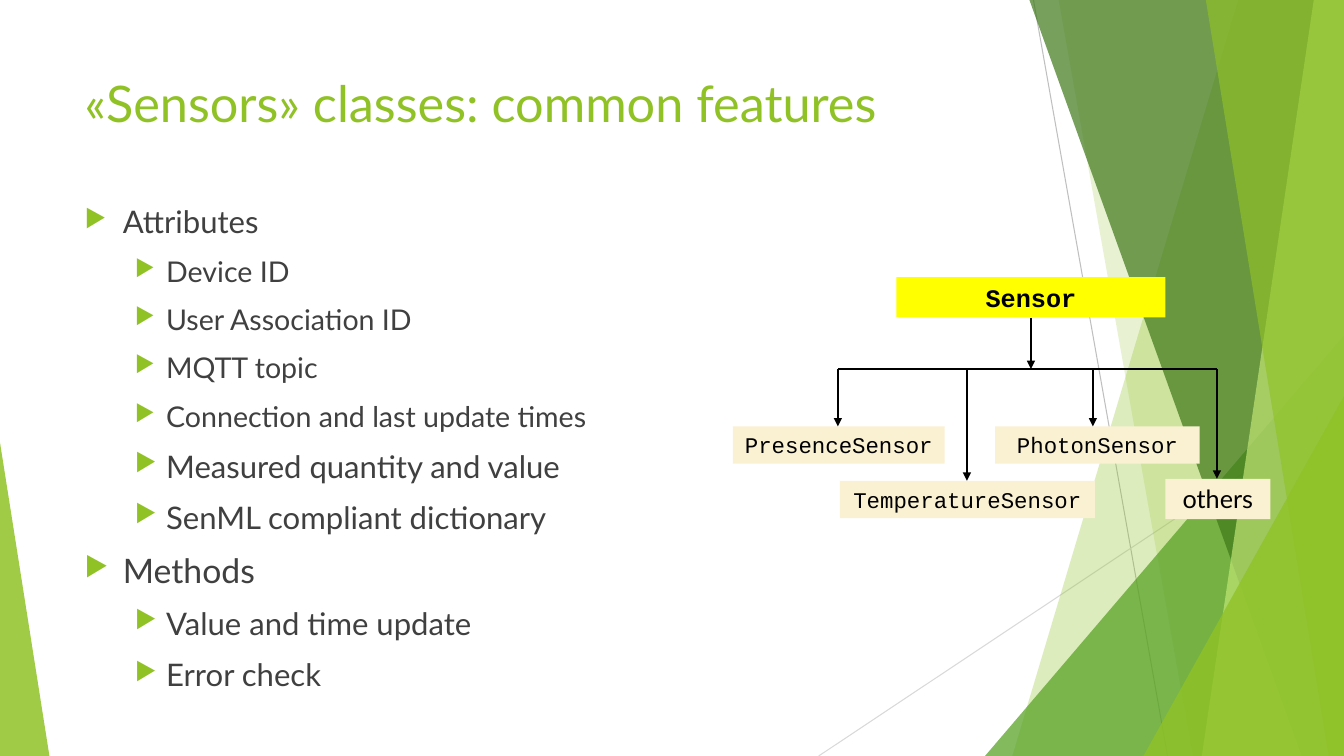
from lxml.etree import SubElement
from pptx import Presentation
from pptx.dml.color import RGBColor
from pptx.enum.shapes import MSO_CONNECTOR, MSO_SHAPE
from pptx.enum.text import MSO_ANCHOR, PP_ALIGN
from pptx.oxml.ns import qn
from pptx.util import Inches, Pt

# Content
TITLE = "«Sensors» classes: common features"
BULLETS = [  # level, size, text
    (0, 22.2, "Attributes"),
    (1, 20.4, "Device ID"),
    (1, 20.4, "User Association ID"),
    (1, 20.4, "MQTT topic"),
    (1, 20.4, "Connection and last update times"),
    (1, 22.2, "Measured quantity and value"),
    (1, 22.2, "SenML compliant dictionary"),
    (0, 24.1, "Methods"),
    (1, 22.2, "Value and time update"),
    (1, 22.2, "Error check"),
]
PARENT = ("Sensor", 8.89, 2.75, 2.67, 0.4)
CHILDREN = [  # text, left, top, width, height, arrow x, font, size
    ("PresenceSensor", 7.27, 4.23, 2.1, 0.37, 8.31, "Courier New", 16),
    ("PhotonSensor", 9.87, 4.23, 2.03, 0.37, 10.84, "Courier New", 16),
    ("TemperatureSensor", 8.33, 4.77, 2.53, 0.37, 9.59, "Courier New", 16),
    ("others", 11.56, 4.75, 1.04, 0.4, 12.07, "Lato", 18),
]

# Style
COLORS = {
    "lime": "90C226", "green": "54A021", "forest": "3F7819", "pale": "C0E474",
    "text": "404040", "black": "000000", "yellow": "FFFF00", "cream": "FAF1D2",
    "gray": "BFBFBF", "silver": "D9D9D9",
}
WIDTH, HEIGHT = 13.33, 7.5
INDENTS = [(0.38, -0.38), (0.81, -0.31)]  # left margin, first line
BUS_Y = 3.66

# Background, back to front: a band runs from its left edge to the slide's right side
BANDS_AND_TRIANGLES = [
    ("band", (12.28, 10.04), "lime", 30),  # left edge at top and at bottom
    ("band", (10.5, 11.83), "lime", 20),
    ("triangle", (9.77, 3.56, 4.17, 1), "green", 72),  # left, width, height, apex
    ("band", (10.21, 12.91), "forest", 70),
    ("band", (13.03, 11.92), "pale", 70),
    ("band", (11.96, 13.18), "lime", 65),
    ("triangle", (11.34, 1.99, 3.57, 1), "lime", 80),
    ("triangle", (0, 0.49, 3.11, 0), "lime", 85),
]

presentation = Presentation()
presentation.slide_width, presentation.slide_height = Inches(WIDTH), Inches(HEIGHT)
slide = presentation.slides.add_slide(presentation.slide_layouts[6])
shapes = slide.shapes


def rgb(name):
    return RGBColor.from_string(COLORS[name])


def fill_shape(shape, color, opacity=100):
    shape.shadow.inherit = False
    shape.line.fill.background()
    shape.fill.solid()
    shape.fill.fore_color.rgb = rgb(color)
    if opacity < 100:
        color_element = shape.fill._xPr.find(qn("a:solidFill"))[0]
        SubElement(color_element, qn("a:alpha"), val=str(opacity * 1000))


def add_line(start, end, color="black", width=1, arrow=False):
    points = [Inches(value) for value in (*start, *end)]
    connector = shapes.add_connector(MSO_CONNECTOR.STRAIGHT, *points)
    connector.line.color.rgb = rgb(color)
    connector.line.width = Pt(width)
    if arrow:
        SubElement(connector.line._get_or_add_ln(), qn("a:tailEnd"), type="triangle")
    SubElement(connector._element.spPr, qn("a:effectLst"))


def format_text(paragraph, size, color, font="Lato", bold=False):
    for run in paragraph.runs:
        run.font.name, run.font.size, run.font.bold = font, Pt(size), bold
        run.font.color.rgb = rgb(color)


def add_text_box(*place):
    text_frame = shapes.add_textbox(*map(Inches, place)).text_frame
    text_frame.word_wrap = True
    return text_frame


def add_bullet(paragraph, level):
    margin, first_line = INDENTS[level]
    paragraph.level = level
    paragraph.space_before = Pt(10)
    properties = paragraph._p.get_or_add_pPr()
    properties.set("marL", str(Inches(margin)))
    properties.set("indent", str(Inches(first_line)))
    bullet_color = SubElement(properties, qn("a:buClr"))
    SubElement(bullet_color, qn("a:srgbClr"), val=COLORS["lime"])
    SubElement(properties, qn("a:buSzPct"), val="80000")
    SubElement(properties, qn("a:buChar"), char="▶")


def add_class_box(text, left, top, width, height, color, font, size, bold=False):
    box = shapes.add_shape(MSO_SHAPE.RECTANGLE, *map(Inches, (left, top, width, height)))
    fill_shape(box, color)
    text_frame = box.text_frame
    text_frame.word_wrap = True
    text_frame.vertical_anchor = MSO_ANCHOR.TOP
    text_frame.text = text
    paragraph = text_frame.paragraphs[0]
    paragraph.alignment = PP_ALIGN.CENTER
    format_text(paragraph, size, "black", font, bold)


# Background
add_line((10.25, 0), (11.58, HEIGHT), "gray", 0.75)
add_line((WIDTH, 4.03), (8.12, HEIGHT), "silver", 0.75)
for kind, geometry, color, opacity in BANDS_AND_TRIANGLES:
    if kind == "band":
        top_x, bottom_x = geometry
        builder = shapes.build_freeform(Inches(top_x), 0, scale=1.0)
        corners = [(WIDTH, 0), (WIDTH, HEIGHT), (bottom_x, HEIGHT)]
        builder.add_line_segments([(Inches(x), Inches(y)) for x, y in corners])
        facet = builder.convert_to_shape()
    else:
        left, width, height, apex = geometry
        place = map(Inches, (left, HEIGHT - height, width, height))
        facet = shapes.add_shape(MSO_SHAPE.ISOSCELES_TRIANGLE, *place)
        facet.adjustments[0] = apex
    fill_shape(facet, color, opacity)

# Title
title_frame = add_text_box(0.74, 0.67, 9.4, 1.44)
title_frame.text = TITLE
format_text(title_frame.paragraphs[0], 36, "lime")

# Bullet list
body_frame = add_text_box(0.74, 1.96, 7.43, 4.87)
body_frame.text = "\n".join(text for _, _, text in BULLETS)
for paragraph, (level, size, _) in zip(body_frame.paragraphs, BULLETS):
    add_bullet(paragraph, level)
    format_text(paragraph, size, "text")

# Class tree
add_class_box(*PARENT, "yellow", "Courier New", 18, True)
_, left, top, width, height = PARENT
center = left + width / 2
add_line((center, top + height), (center, BUS_Y), arrow=True)
arrow_positions = [child[5] for child in CHILDREN]
add_line((min(arrow_positions), BUS_Y), (max(arrow_positions), BUS_Y))
for text, left, top, width, height, arrow_x, font, size in CHILDREN:
    add_class_box(text, left, top, width, height, "cream", font, size)
    add_line((arrow_x, BUS_Y), (arrow_x, top), arrow=True)

presentation.save("out.pptx")
